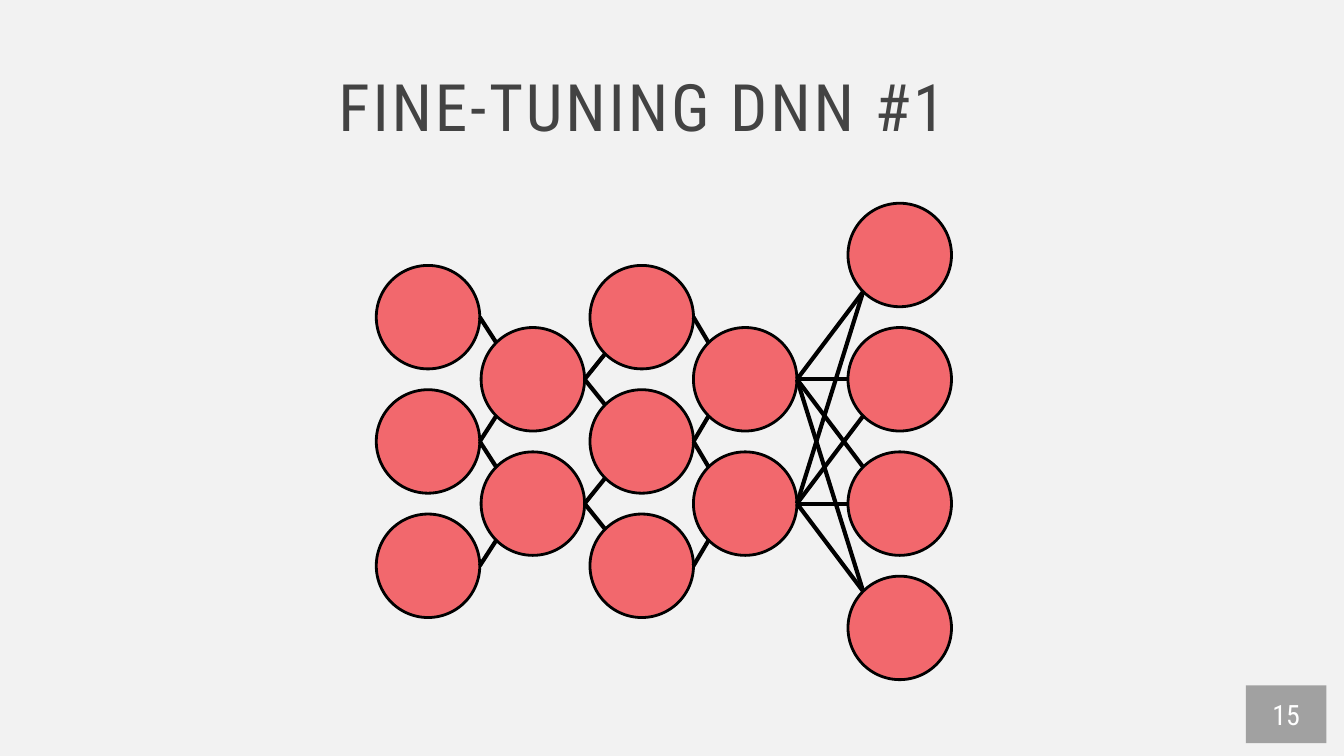
from dataclasses import dataclass
from itertools import pairwise, product
from math import sqrt

from lxml.etree import SubElement
from pptx import Presentation
from pptx.dml.color import RGBColor
from pptx.enum.shapes import MSO_CONNECTOR, MSO_SHAPE
from pptx.enum.text import MSO_ANCHOR, MSO_AUTO_SIZE, PP_ALIGN
from pptx.oxml.ns import qn
from pptx.util import Inches, Pt


@dataclass(frozen=True)
class Theme:
    background: RGBColor = RGBColor(0xF2, 0xF2, 0xF2)
    node: RGBColor = RGBColor(0xF2, 0x68, 0x6D)
    stroke: RGBColor = RGBColor(0, 0, 0)
    title: RGBColor = RGBColor(0x43, 0x43, 0x43)
    badge: RGBColor = RGBColor(0x80, 0x80, 0x80)
    badge_text: RGBColor = RGBColor(0xFF, 0xFF, 0xFF)
    badge_opacity: int = 70
    font: str = "Roboto Condensed"
    title_size: float = 35
    title_spacing: int = 150
    badge_size: float = 15
    node_line: float = 1.5
    link_line: float = 2.25


@dataclass(frozen=True)
class Box:
    left: float
    top: float
    width: float
    height: float

    def lengths(self):
        return [Inches(value) for value in (self.left, self.top, self.width, self.height)]


@dataclass(frozen=True)
class Layer:
    offset: float
    count: int
    full: bool = False


THEME = Theme()
DIAMETER = 0.77
PITCH = 1.85 / 2
LAYERS = [Layer(0, 3), Layer(0.78, 2), Layer(1.59, 3), Layer(2.36, 2), Layer(3.51, 4, True)]


def write_text(shape, text, size, color, anchor):
    frame = shape.text_frame
    frame.text = text
    frame.word_wrap = True
    frame.auto_size = MSO_AUTO_SIZE.NONE
    frame.vertical_anchor = anchor
    frame.margin_left = frame.margin_right = Inches(0.1)
    frame.margin_top = frame.margin_bottom = Inches(0.1)
    para = frame.paragraphs[0]
    para.alignment = PP_ALIGN.CENTER
    span = para.runs[0]
    span.font.name = THEME.font
    span.font.size = Pt(size)
    span.font.color.rgb = color
    return para


def add_title(page, box, text):
    title = page.shapes.title
    title.left, title.top, title.width, title.height = box.lengths()
    para = write_text(title, text, THEME.title_size, THEME.title, MSO_ANCHOR.TOP)
    para.line_spacing = 0.9
    para.runs[0].font._element.set("spc", str(THEME.title_spacing))


def add_node(page, left, top):
    box = Box(left, top, DIAMETER, DIAMETER)
    node = page.shapes.add_shape(MSO_SHAPE.OVAL, *box.lengths())
    node.shadow.inherit = False
    node.fill.solid()
    node.fill.fore_color.rgb = THEME.node
    node.line.color.rgb = THEME.stroke
    node.line.width = Pt(THEME.node_line)


def add_link(page, source, target):
    radius = DIAMETER / 2
    diagonal = radius / sqrt(2)
    rise = target[1] - source[1]
    if abs(rise) < 0.01:
        end = (target[0] - radius, target[1])
    else:
        side = -1 if rise > 0 else 1
        end = (target[0] - diagonal, target[1] + side * diagonal)
    points = [Inches(value) for value in (source[0] + radius, source[1], *end)]
    link = page.shapes.add_connector(MSO_CONNECTOR.STRAIGHT, *points)
    link.line.color.rgb = THEME.stroke
    link.line.width = Pt(THEME.link_line)
    SubElement(link._element.spPr, qn("a:effectLst"))


def add_network(page, box):
    radius = DIAMETER / 2
    middle = box.top + box.height / 2
    columns = []
    for layer in LAYERS:
        center_x = box.left + layer.offset + radius
        first_y = middle - (layer.count - 1) * PITCH / 2
        centers = [(center_x, first_y + row * PITCH) for row in range(layer.count)]
        columns.append(centers)
        for x, y in centers:
            add_node(page, x - radius, y - radius)
    for (_, sources), (layer, targets) in pairwise(zip(LAYERS, columns)):
        for source, target in product(sources, targets):
            if layer.full or abs(target[1] - source[1]) < PITCH:
                add_link(page, source, target)


def add_page_number(page, box, number):
    badge = page.shapes.add_shape(MSO_SHAPE.RECTANGLE, *box.lengths())
    badge.shadow.inherit = False
    badge.fill.solid()
    badge.fill.fore_color.rgb = THEME.badge
    color = badge._element.spPr.find(qn("a:solidFill"))[0]
    SubElement(color, qn("a:alpha")).set("val", str(THEME.badge_opacity * 1000))
    badge.line.fill.background()
    write_text(badge, number, THEME.badge_size, THEME.badge_text, MSO_ANCHOR.MIDDLE)


def main():
    deck = Presentation()
    deck.slide_width = Inches(10)
    deck.slide_height = Inches(10 * 9 / 16)
    page = deck.slides.add_slide(deck.slide_layouts.get_by_name("Title Only"))
    page.background.fill.solid()
    page.background.fill.fore_color.rgb = THEME.background
    add_network(page, Box(2.8, 1.51, 4.28, 3.55))
    add_title(page, Box(0.12, 0.46, 9.32, 0.77), "FINE-TUNING DNN #1")
    add_page_number(page, Box(9.27, 5.1, 0.6, 0.43), "15")
    deck.save("out.pptx")


if __name__ == "__main__":
    main()
